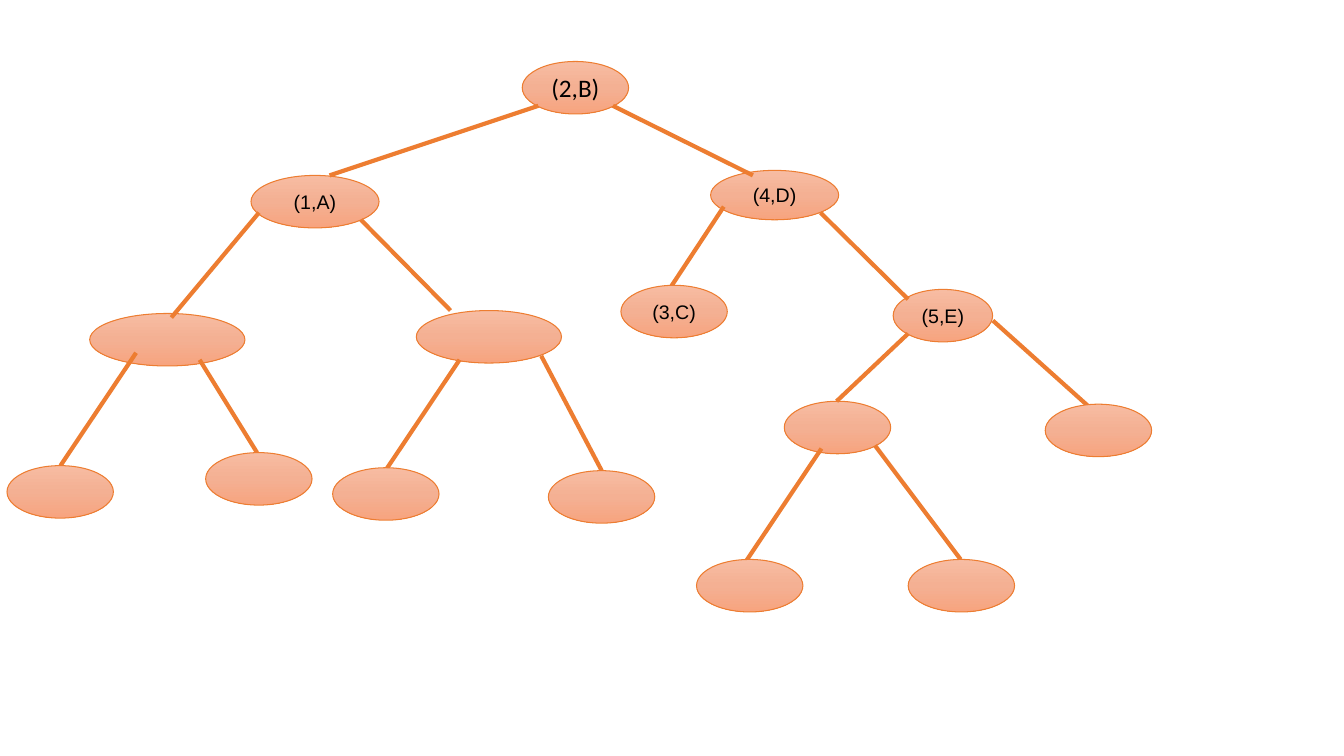
from copy import deepcopy
from typing import NamedTuple, Optional

from pptx import Presentation
from pptx.dml.color import RGBColor
from pptx.enum.shapes import MSO_CONNECTOR as Connector, MSO_SHAPE as Preset
from pptx.enum.text import MSO_ANCHOR as Anchor, PP_ALIGN as Align
from pptx.oxml.ns import qn
from pptx.slide import Slide
from pptx.util import Pt

COLOURS = {
    "top": "F7BCA2",
    "middle": "F4B093",
    "bottom": "F7A47F",
    "outline": "ED7D31",
    "text": "000000",
}


class Branch(NamedTuple):
    """A line from a parent node to its child, in points."""
    x1: float
    y1: float
    x2: float
    y2: float


class Node(NamedTuple):
    """A tree node in points, with the branch that leads to it."""
    left: float
    top: float
    branch: Optional[Branch] = None
    label: str = ""
    width: float = 76
    height: float = 37.5
    font: str = "Arial"
    size: float = 14


INNER_NODES = [
    Node(373, 43.9, None, "(2,B)", font="Calibri", size=18),
    Node(179.3, 125.3, Branch(384.5, 75.6, 235.4, 125.3), "(1,A)", 91.5),
    Node(507.6, 121.7, Branch(437.8, 75.6, 537.8, 125.3), "(4,D)", 91.5, 35.3),
    Node(64.1, 223.9, Branch(185, 151.9, 122.4, 226.8), width=110.9),
    Node(297.4, 221.8, Branch(257.8, 157, 321.8, 221.8), width=103.7),
    Node(638, 206.7, Branch(586.1, 151.9, 648.7, 213.8), "(5,E)", 71),
    Node(560.2, 286.6, Branch(648.7, 238.3, 597.6, 286.6)),
]
LEAVES = [
    Node(5, 332.6, Branch(97.2, 252, 43.2, 332.6)),
    Node(146.9, 323.3, Branch(142.6, 257, 183.6, 323.3)),
    Node(237.6, 334.1, Branch(328.3, 257, 274.3, 337.7)),
    Node(391.7, 336.2, Branch(386.6, 254.2, 429.8, 336.2)),
    Node(443.5, 203.8, Branch(517, 147.6, 478.1, 206.6), "(3,C)"),
    Node(497.5, 399.6, Branch(586.8, 320.4, 532.8, 401)),
    Node(648.7, 399.6, Branch(625, 318.2, 686.2, 399.6)),
    Node(746.6, 288.7, Branch(709.2, 229, 779.8, 292.3)),
]


def colour(name: str) -> RGBColor:
    """Look up a named colour."""
    return RGBColor.from_string(COLOURS[name])


def draw_node(slide: Slide, node: Node) -> None:
    """Draw one ellipse with a vertical gradient and its label, if any."""
    shape = slide.shapes.add_shape(
        Preset.OVAL, Pt(node.left), Pt(node.top), Pt(node.width), Pt(node.height))
    shape.shadow.inherit = False
    shape.line.color.rgb = colour("outline")
    shape.line.width = Pt(0.75)

    shape.fill.gradient()
    shape.fill.gradient_angle = 270
    stop_list = shape.element.spPr.find(".//" + qn("a:gsLst"))
    stop_list.insert(1, deepcopy(stop_list[0]))
    names = ("top", "middle", "bottom")
    for index, (stop, name) in enumerate(zip(shape.fill.gradient_stops, names)):
        stop.position = index / 2
        stop.color.rgb = colour(name)

    if node.label:
        frame = shape.text_frame
        frame.margin_left = frame.margin_right = 0
        frame.margin_top = frame.margin_bottom = 0
        frame.vertical_anchor = Anchor.MIDDLE
        frame.text = node.label
        paragraph = frame.paragraphs[0]
        paragraph.alignment = Align.CENTER
        paragraph.font.name = node.font
        paragraph.font.size = Pt(node.size)
        paragraph.font.color.rgb = colour("text")


def draw_branch(slide: Slide, branch: Branch) -> None:
    """Draw one line between two nodes."""
    line = slide.shapes.add_connector(Connector.STRAIGHT, *map(Pt, branch))
    line.line.color.rgb = colour("outline")
    line.line.width = Pt(3)
    properties = line.element.spPr
    properties.append(properties.makeelement(qn("a:effectLst"), {}))


def build() -> None:
    """Build the tree: inner nodes, then branches, then leaves."""
    presentation = Presentation()
    presentation.slide_width = Pt(960)
    presentation.slide_height = Pt(540)
    slide = presentation.slides.add_slide(presentation.slide_layouts[6])
    for node in INNER_NODES:
        draw_node(slide, node)
    for node in INNER_NODES + LEAVES:
        if node.branch:
            draw_branch(slide, node.branch)
    for node in LEAVES:
        draw_node(slide, node)
    presentation.save("out.pptx")


build()
